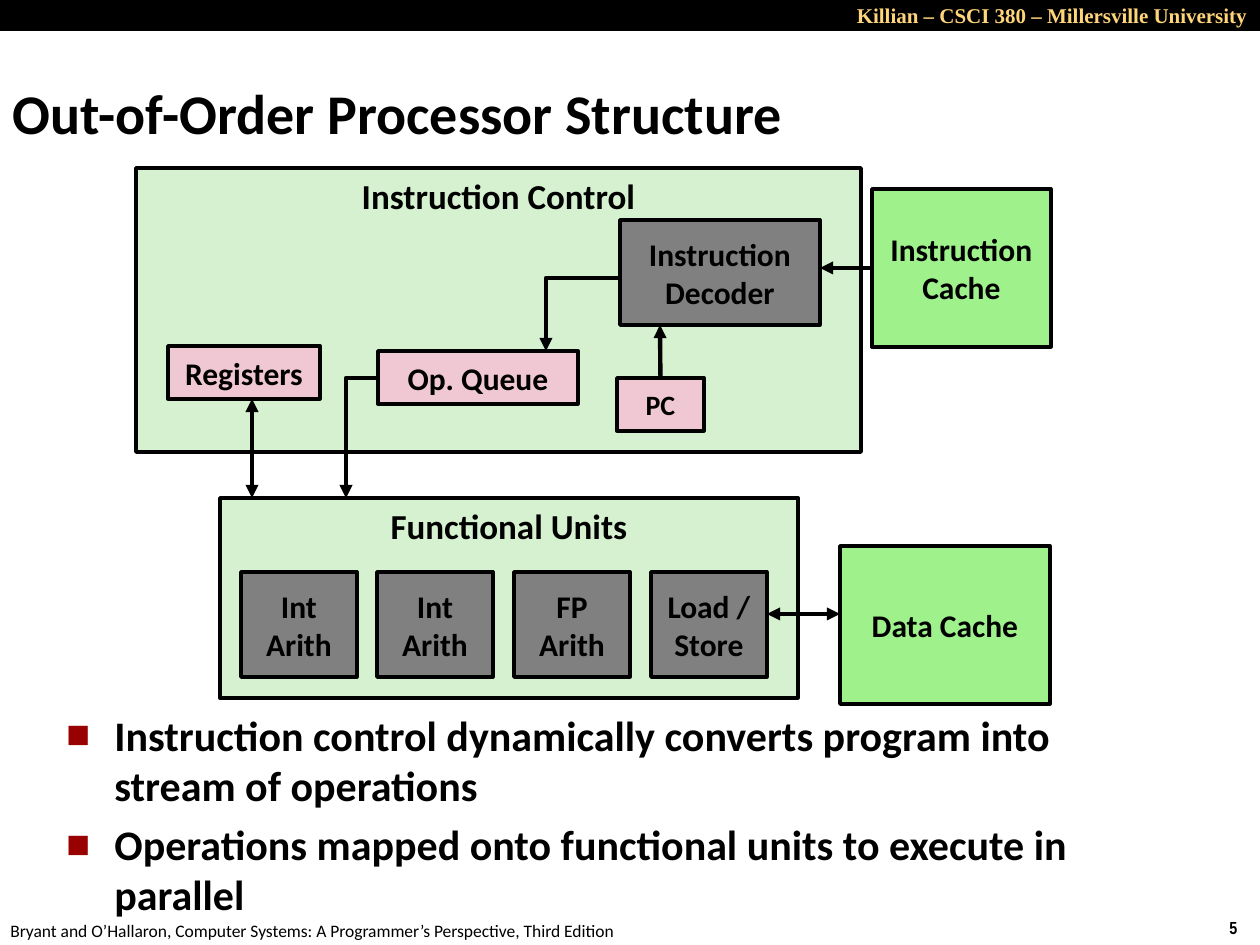
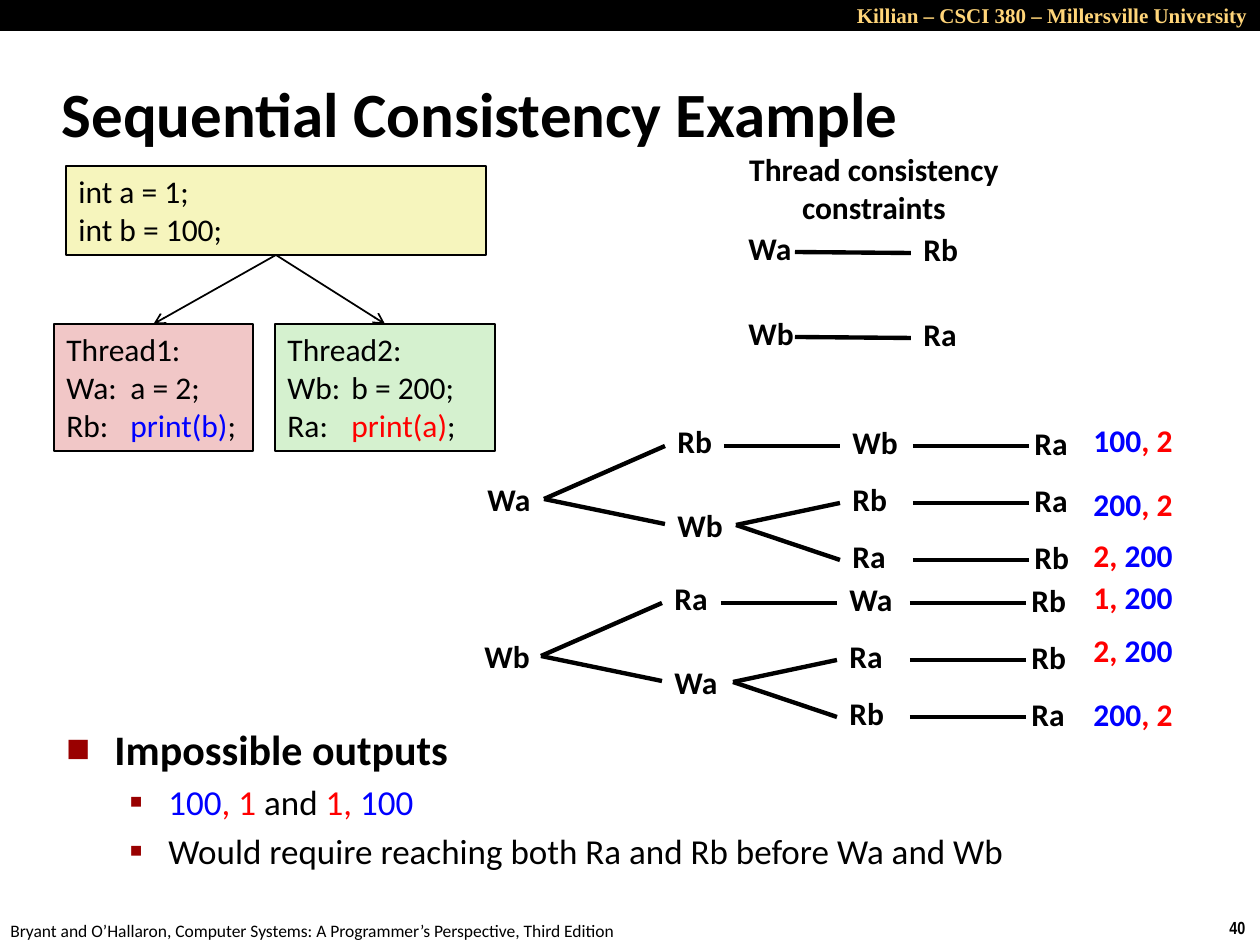
from lxml import etree
from pptx import Presentation
from pptx.dml.color import RGBColor
from pptx.enum.shapes import MSO_CONNECTOR, MSO_SHAPE
from pptx.enum.text import MSO_ANCHOR, MSO_AUTO_SIZE, PP_ALIGN
from pptx.oxml.ns import qn
from pptx.util import Emu, Pt

STRAIGHT, ELBOW = MSO_CONNECTOR.STRAIGHT, MSO_CONNECTOR.ELBOW
RECTANGLE = MSO_SHAPE.RECTANGLE
TOP, MIDDLE = MSO_ANCHOR.TOP, MSO_ANCHOR.MIDDLE
LEFT, CENTER, RIGHT = PP_ALIGN.LEFT, PP_ALIGN.CENTER, PP_ALIGN.RIGHT
NO_AUTOFIT = MSO_AUTO_SIZE.NONE

BLACK = RGBColor(0, 0, 0)
WHITE = RGBColor(255, 255, 255)
GOLD = RGBColor(0xFF, 0xD5, 0x79)
DARK_RED = RGBColor(0x99, 0, 0)
RED = RGBColor(255, 0, 0)
BLUE = RGBColor(0, 0, 255)
GRAY = RGBColor(0x80, 0x80, 0x80)
PALE_GREEN = RGBColor(0xD5, 0xF1, 0xCF)
GREEN = RGBColor(0x9E, 0xF1, 0x8B)
PINK = RGBColor(0xF0, 0xC8, 0xD3)
ROSE = RGBColor(0xF1, 0xC7, 0xC7)
YELLOW = RGBColor(0xF6, 0xF5, 0xBD)

PX_PER_INCH = 126
TITLE_ONLY = 5
LABEL_WIDTHS = {"Wa": 69, "Wb": 72, "Ra": 59, "Rb": 60}
BULLETS = [("■", 60, 48, -48), ("▪", 110, 102, -39)]


def px(n):
    return Emu(round(n * 914400 / PX_PER_INCH))


def sub(parent, tag, **attrs):
    el = etree.SubElement(parent, qn(tag))
    for name, value in attrs.items():
        el.set(name, str(value))
    return el


def indent(p, margin, first):
    pPr = p._p.get_or_add_pPr()
    pPr.set("marL", str(px(margin)))
    pPr.set("indent", str(px(first)))
    return pPr


def write(p, content, size=18, bold=True, color=BLACK, font="Calibri", align=LEFT):
    p.alignment = align
    runs = [(content, color)] if isinstance(content, str) else content
    for text, run_color in runs:
        r = p.add_run()
        r.text = text
        r.font.size = Pt(size)
        r.font.bold = bold
        r.font.name = font
        r.font.color.rgb = run_color


def fill_text(sp, paragraphs, anchor=TOP, wrap=True, tab=None, **fmt):
    tf = sp.text_frame
    tf.word_wrap = wrap
    tf.auto_size = NO_AUTOFIT
    tf.vertical_anchor = anchor
    for i, content in enumerate(paragraphs):
        p = tf.add_paragraph() if i else tf.paragraphs[0]
        write(p, content, **fmt)
        if tab:
            tabs = sub(p._p.get_or_add_pPr(), "a:tabLst")
            sub(tabs, "a:tab", pos=px(tab), algn="l")


def add_text(slide, x, y, w, h, paragraphs, **fmt):
    sp = slide.shapes.add_textbox(px(x), px(y), px(w), px(h))
    fill_text(sp, paragraphs, **fmt)
    return sp


def add_box(slide, x, y, w, h, paragraphs, fill, line=2, anchor=MIDDLE, align=CENTER, **fmt):
    sp = slide.shapes.add_shape(RECTANGLE, px(x), px(y), px(w), px(h))
    sp.shadow.inherit = False
    sp.fill.solid()
    sp.fill.fore_color.rgb = fill
    if line:
        sp.line.color.rgb = BLACK
        sp.line.width = Pt(line)
    else:
        sp.line.fill.background()
    fill_text(sp, paragraphs, anchor=anchor, align=align, **fmt)
    return sp


def add_line(slide, x1, y1, x2, y2, width=2.5, head=None, tail=None, kind=STRAIGHT):
    cxn = slide.shapes.add_connector(kind, px(x1), px(y1), px(x2), px(y2))
    cxn.line.color.rgb = BLACK
    cxn.line.width = Pt(width)
    ln = cxn.line._get_or_add_ln()
    if head:
        sub(ln, "a:headEnd", type=head)
    if tail:
        sub(ln, "a:tailEnd", type=tail)
    sub(cxn._element.spPr, "a:effectLst")
    return cxn


def add_elbow(slide, right, top, left, bottom):
    cxn = add_line(slide, left, top, right, bottom, tail="triangle", kind=ELBOW)
    spPr = cxn._element.spPr
    spPr.find(qn("a:prstGeom")).set("prst", "bentConnector2")
    xfrm = spPr.find(qn("a:xfrm"))
    xfrm.set("rot", "10800000")
    xfrm.set("flipV", "1")


def add_bullets(slide, x, y, w, h, items):
    sp = slide.shapes.add_textbox(px(x), px(y), px(w), px(h))
    tf = sp.text_frame
    tf.word_wrap = True
    for i, (level, content) in enumerate(items):
        p = tf.add_paragraph() if i else tf.paragraphs[0]
        size = 20 if level else 24
        write(p, content, size=size, bold=level == 0)
        p.level = level
        p.space_before = Pt(size * 0.2)
        char, percent, margin, first = BULLETS[level]
        pPr = indent(p, margin, first)
        sub(sub(pPr, "a:buClr"), "a:srgbClr", val=DARK_RED)
        sub(pPr, "a:buSzPct", val=percent * 1000)
        sub(pPr, "a:buFont", typeface="Calibri")
        sub(pPr, "a:buChar", char=char)


def add_slide(prs, title, number, x, w, size):
    slide = prs.slides.add_slide(prs.slide_layouts[TITLE_ONLY])
    slide.background.fill.solid()
    slide.background.fill.fore_color.rgb = WHITE
    add_text(slide, 1217, 911, 43, 34, [number], size=10, font="Arial Narrow", wrap=False)
    add_text(slide, -2, 914, 640, 34,
             ["Bryant and O’Hallaron, Computer Systems: A Programmer’s Perspective, Third Edition"],
             size=10, bold=False, wrap=False)
    add_box(slide, 0, 0, 1260, 31, [], BLACK, line=None)
    add_text(slide, 567, -4, 693, 38, ["Killian – CSCI 380 – Millersville University"],
             size=12, color=GOLD, font="Times New Roman", align=RIGHT)
    sp = slide.shapes.title
    sp.left, sp.top, sp.width, sp.height = px(x), px(60), px(w), px(105)
    fill_text(sp, [title], anchor=MIDDLE, size=size)
    indent(sp.text_frame.paragraphs[0], 16, -16)
    return slide


def processor_slide(prs):
    slide = add_slide(prs, "Out-of-Order Processor Structure", "5", 0, 1260, 32)
    add_bullets(slide, 54, 703, 1090, 169, [
        (0, "Instruction control dynamically converts program into stream of operations"),
        (0, "Operations mapped onto functional units to execute in parallel"),
    ])
    add_box(slide, 220, 498, 578, 200, ["Functional Units"], PALE_GREEN, anchor=TOP, size=20)
    units = [("Int", "Arith"), ("Int", "Arith"), ("FP", "Arith"), ("Load /", "Store")]
    for i, unit in enumerate(units):
        add_box(slide, 241 + round(i * 136.5), 572, 116, 105, unit, GRAY)
    add_box(slide, 136, 168, 725, 284, ["Instruction Control"], PALE_GREEN, anchor=TOP, size=20)
    add_box(slide, 168, 346, 152, 53, ["Registers"], PINK)
    add_box(slide, 620, 220, 200, 105, ["Instruction Decoder"], GRAY)
    add_box(slide, 378, 351, 200, 53, ["Op. Queue"], PINK)
    add_box(slide, 840, 546, 210, 158, ["Data Cache"], GREEN)
    cache = add_box(slide, 872, 189, 179, 158, ["Instruction", "Cache"], GREEN)
    pc = add_box(slide, 617, 378, 87, 53, ["PC"], PINK, size=16)

    add_line(slide, 840, 614, 767, 614, head="triangle", tail="triangle")
    add_line(slide, 252, 399, 252, 498, head="triangle", tail="triangle")
    add_line(slide, 820, 268, 872, 268, head="triangle").end_connect(cache, 1)
    add_line(slide, 660, 325, 660, 378, head="triangle").end_connect(pc, 0)
    add_elbow(slide, 378, 378, 346, 498)
    add_elbow(slide, 620, 278, 546, 351)


def add_label(slide, x, y, text):
    add_text(slide, x, y, LABEL_WIDTHS[text], 50, [text], wrap=False)


def add_interleavings(slide, dx, dy, root, upper, lower, thirds, leaves):
    add_label(slide, 475 + dx, 474 + dy, root)
    add_label(slide, 665 + dx, 416 + dy, upper)
    add_label(slide, 665 + dx, 500 + dy, lower)
    for i, (third, leaf) in enumerate(zip(thirds, leaves)):
        y = dy + 57 * i
        add_label(slide, 840 + dx, 417 + y, third)
        add_label(slide, 1022 + dx, 418 + y, leaf)
        add_line(slide, 913 + dx, 446 + y, 1029 + dx, 446 + y)
    for x1, y1, x2, y2 in [(544, 499, 665, 446), (544, 499, 665, 524), (724, 446, 840, 446),
                           (736, 525, 840, 503), (736, 525, 840, 560)]:
        add_line(slide, x1 + dx, y1 + dy, x2 + dx, y2 + dy)


def consistency_slide(prs):
    slide = add_slide(prs, "Sequential Consistency Example", "40", 49, 1046, 36)
    add_bullets(slide, 54, 717, 1089, 106, [
        (0, "Impossible outputs"),
        (1, [("100", BLUE), (", 1 ", RED), ("and ", BLACK), ("1, ", RED), ("100", BLUE)]),
        (1, "Would require reaching both Ra and Rb before Wa and Wb"),
    ])
    add_interleavings(slide, 0, 0, "Wa", "Rb", "Wb", ["Wb", "Rb", "Ra"], ["Ra", "Ra", "Rb"])
    add_interleavings(slide, -3, 157, "Wb", "Ra", "Wa", ["Wa", "Ra", "Rb"], ["Rb", "Rb", "Ra"])

    outputs = [(415, "100", ", 2"), (479, "200", ", 2"), (530, "2, ", "200"),
               (572, "1, ", "200"), (625, "2, ", "200"), (689, "200", ", 2")]
    for y, *parts in outputs:
        runs = [(part, RED if "," in part else BLUE) for part in parts]
        add_text(slide, 1081, y, 106, 50, [runs], wrap=False)

    add_text(slide, 736, 144, 276, 89, ["Thread consistency", "constraints"],
             align=CENTER, wrap=False)
    for i, (before, after) in enumerate([("Wa", "Rb"), ("Wb", "Ra")]):
        y = 85 * i
        add_label(slide, 736, 223 + y, before)
        add_label(slide, 911, 224 + y, after)
        add_line(slide, 795, 252 + y, 911, 253 + y)

    code = {"line": 0.75, "anchor": TOP, "align": LEFT, "bold": False}
    shared = add_box(slide, 66, 166, 420, 89, ["int a = 1;", "int b = 100;"], YELLOW, **code)
    threads = [
        (54, 199, ROSE, "Thread1:", "Wa:\ta = 2;", "Rb:\t", "print(b)", BLUE),
        (275, 220, PALE_GREEN, "Thread2:", "Wb:\tb = 200;", "Ra:\t", "print(a)", RED),
    ]
    for x, w, fill, name, store, label, call, color in threads:
        load = [(label, BLACK), (call, color), (";", BLACK)]
        thread = add_box(slide, x, 324, w, 127, [name, store, load], fill, tab=64, **code)
        cxn = add_line(slide, 276, 255, x + w // 2, 324, width=1, tail="arrow")
        cxn.begin_connect(shared, 2)
        cxn.end_connect(thread, 0)


def main():
    prs = Presentation()
    prs.slide_width, prs.slide_height = px(1260), px(945)
    processor_slide(prs)
    consistency_slide(prs)
    prs.save("out.pptx")


if __name__ == "__main__":
    main()
